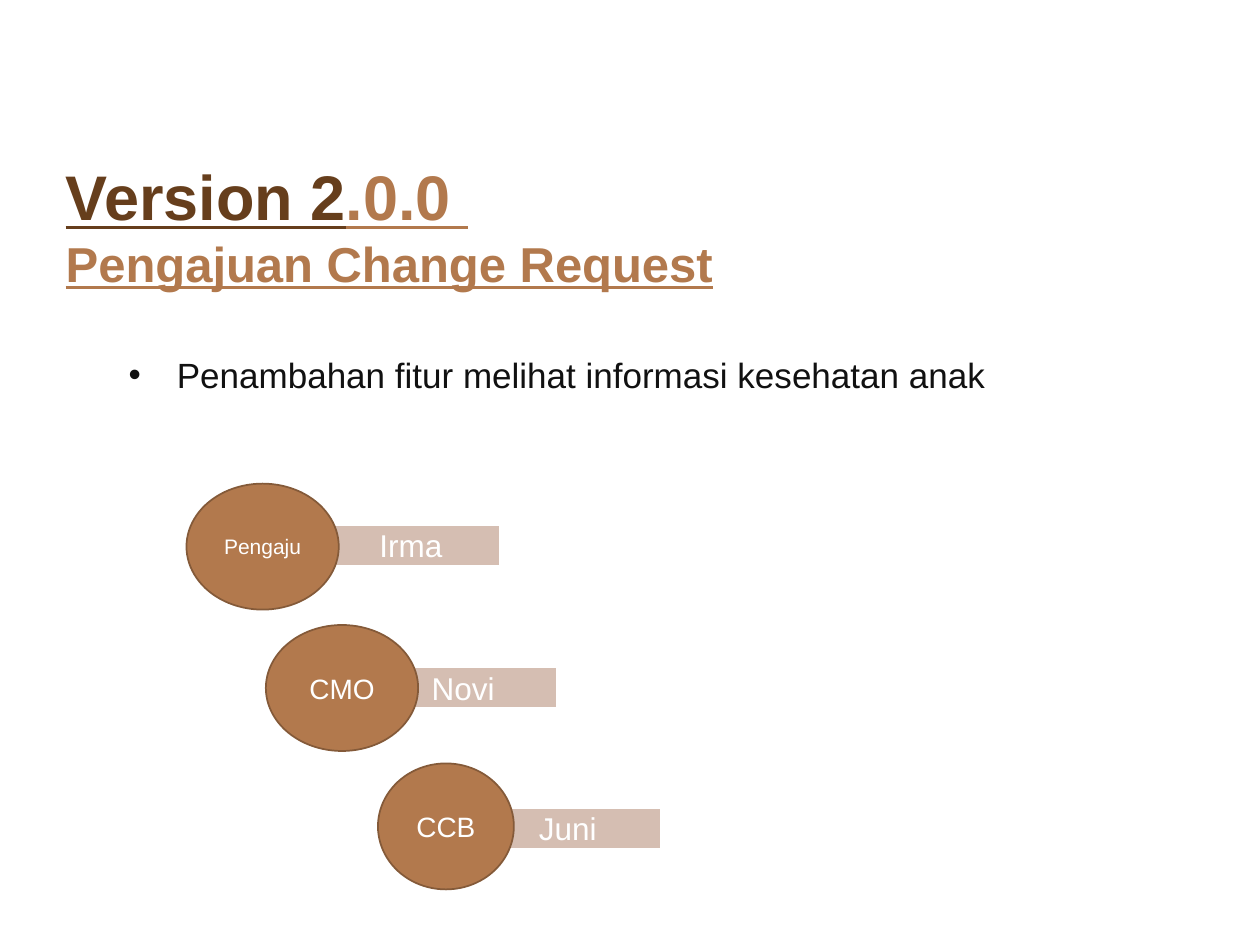
from lxml.etree import SubElement
from pptx import Presentation
from pptx.dml.color import RGBColor
from pptx.enum.shapes import MSO_SHAPE as Shape
from pptx.enum.text import MSO_ANCHOR as Anchor, MSO_AUTO_SIZE as AutoSize, PP_ALIGN as Align
from pptx.oxml.ns import qn
from pptx.util import Cm, Pt

DARK_BROWN = RGBColor(0x66, 0x3E, 0x1C)
BROWN = RGBColor(0xB2, 0x79, 0x4D)
EDGE_BROWN = RGBColor(0x84, 0x5A, 0x39)
BEIGE = RGBColor(0xD5, 0xBE, 0xB2)
INK = RGBColor(0x11, 0x11, 0x11)
WHITE = RGBColor(0xFF, 0xFF, 0xFF)

CIRCLE_HEIGHT = 2.54
BAR_WIDTH, BAR_HEIGHT = 3.61, 0.84

# Role, role size, person, circle (left, top, width), bar offset from the circle
ROLES = [
    ("Pengaju", 12, "Irma", (3.76, 9.75, 3.07), (2.72, 0.82)),
    ("CMO", 16, "Novi ", (5.36, 12.6, 3.07), (2.26, 0.84)),
    ("CCB", 16, "Juni ", (7.62, 15.39, 2.74), (2.11, 0.89)),
]


def apply_format(target, values):
    for name, value in values.items():
        setattr(target, name, value)


def place(part, left, top, width, height):
    apply_format(part, {"left": Cm(left), "top": Cm(top),
                        "width": Cm(width), "height": Cm(height)})


def add_run(paragraph, text, size, color, **style):
    run = paragraph.add_run()
    run.text = text
    apply_format(run.font, {"name": "Arial", "size": Pt(size), **style})
    run.font.color.rgb = color


def fill_title(title, box):
    place(title, *box)
    frame = title.text_frame
    apply_format(frame, {"auto_size": AutoSize.NONE, "word_wrap": True,
                         "vertical_anchor": Anchor.BOTTOM, "margin_bottom": 0})
    lines = [
        [("Version 2", 36, DARK_BROWN), (".0.0 ", 36, BROWN)],
        [("Pengajuan Change Request", 28, BROWN)],
    ]
    for number, line in enumerate(lines):
        paragraph = frame.add_paragraph() if number else frame.paragraphs[0]
        paragraph.alignment = Align.LEFT
        for text, size, color in line:
            add_run(paragraph, text, size, color, bold=True, underline=True)


def fill_request(body, box):
    place(body, *box)
    frame = body.text_frame
    apply_format(frame, {"auto_size": AutoSize.NONE, "word_wrap": True,
                         "vertical_anchor": Anchor.TOP, "margin_top": Cm(0.2)})
    paragraph = frame.paragraphs[0]
    paragraph.space_before = Pt(0)
    properties = paragraph._p.get_or_add_pPr()
    properties.set("marL", str(Cm(0.97)))
    properties.set("indent", str(-Cm(0.97)))
    SubElement(properties, qn("a:buFont"), typeface="Arial")
    SubElement(properties, qn("a:buChar"), char="•")
    add_run(paragraph, "Penambahan fitur melihat informasi kesehatan anak", 20, INK)


def add_label(slide, outline, box, text, size, fill, edge, edge_width):
    label = slide.shapes.add_shape(outline, *map(Cm, box))
    label.shadow.inherit = False
    label.fill.solid()
    label.fill.fore_color.rgb = fill
    label.line.color.rgb = edge
    label.line.width = Pt(edge_width)
    frame = label.text_frame
    apply_format(frame, {"word_wrap": True, "vertical_anchor": Anchor.MIDDLE,
                         "margin_left": 0, "margin_right": 0,
                         "margin_top": 0, "margin_bottom": 0})
    paragraph = frame.paragraphs[0]
    paragraph.alignment = Align.CENTER
    add_run(paragraph, text, size, WHITE)


def add_role(slide, role, role_size, person, circle_box, bar_offset):
    left, top, width = circle_box
    right, down = bar_offset
    # The name bar goes behind the role circle
    add_label(slide, Shape.RECTANGLE, (left + right, top + down, BAR_WIDTH, BAR_HEIGHT),
              person, 18, BEIGE, WHITE, 1.5)
    add_label(slide, Shape.OVAL, (left, top, width, CIRCLE_HEIGHT),
              role, role_size, BROWN, EDGE_BROWN, 1)


def main():
    deck = Presentation()
    deck.slide_width, deck.slide_height = Cm(25.4), Cm(19.05)
    slide = deck.slides.add_slide(deck.slide_layouts[1])
    fill_title(slide.shapes.title, (1.07, 5.05, 18.29, 0.84))
    fill_request(slide.placeholders[1], (2.34, 6.93, 18.29, 11.02))
    for role in ROLES:
        add_role(slide, *role)
    deck.save("out.pptx")


if __name__ == "__main__":
    main()
